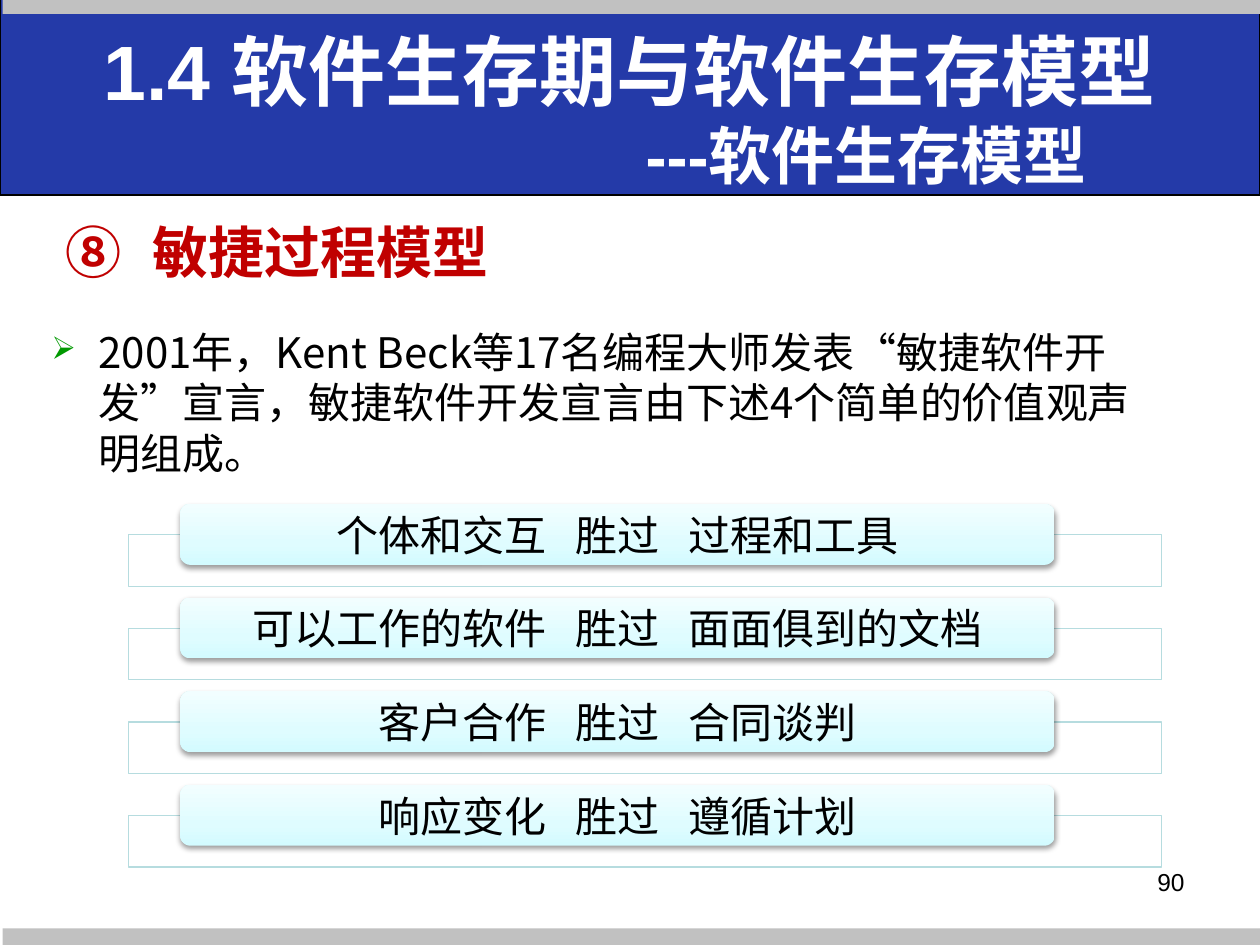
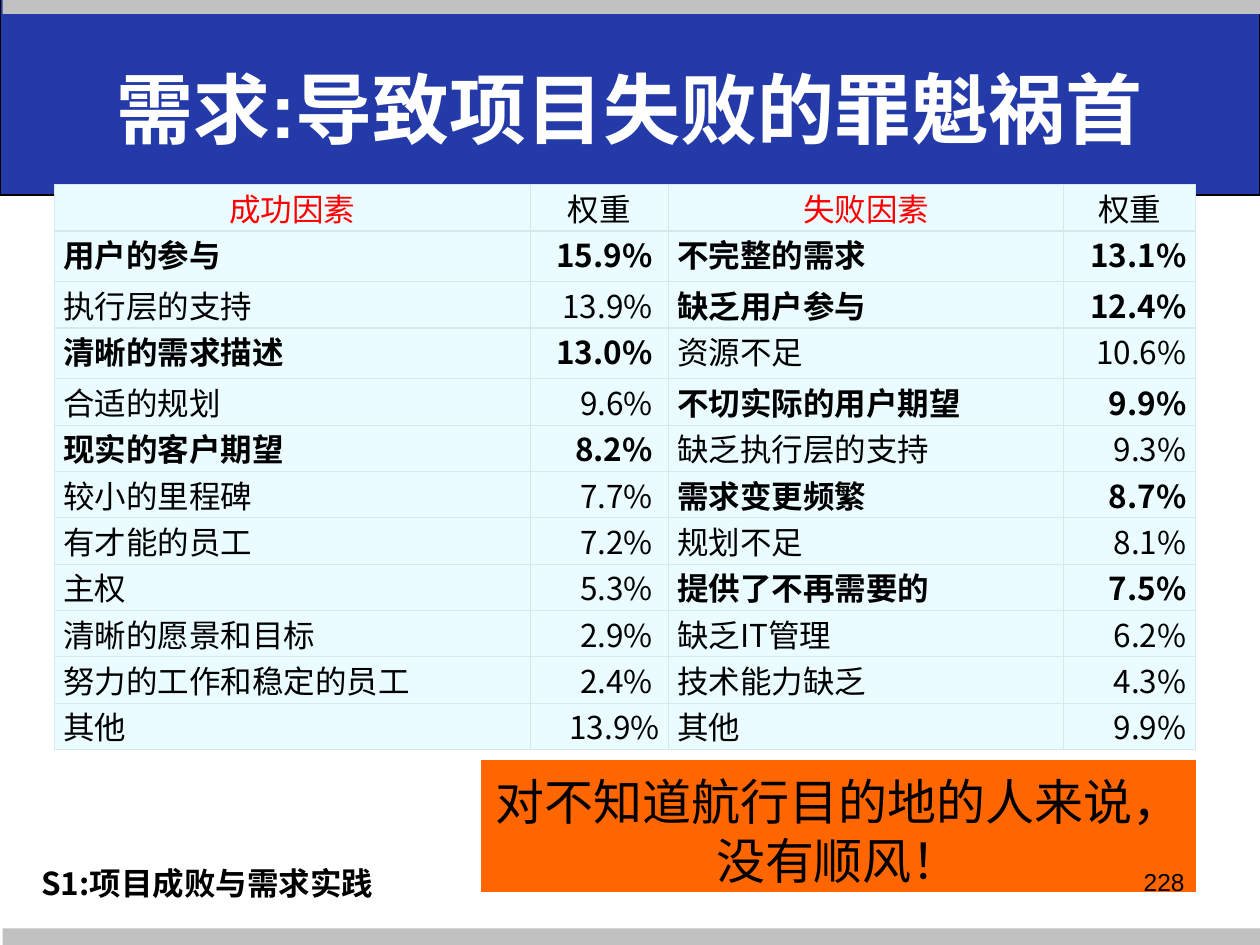
from lxml import etree
from pptx import Presentation
from pptx.util import Pt
from pptx.dml.color import RGBColor
from pptx.enum.shapes import MSO_SHAPE as Shape
from pptx.enum.text import PP_ALIGN as Align, MSO_ANCHOR as Anchor
from pptx.oxml import parse_xml
from pptx.oxml.ns import qn, nsdecls

SANS, ARIAL, TIMES = "Noto Sans CJK SC", "Arial", "Times New Roman"
BLUE, GREY, BLACK, WHITE = "243AA8", "C1C1C1", "000000", "FFFFFF"
RED, ORANGE, ICE, EDGE, TEAL = "FF0000", "FF6600", "EAFCFF", "D5E8EA", "B6DCDF"


def rgb(code):
    return RGBColor.from_string(code)


def xml(text):
    """Parse a drawing element written without its namespace."""
    tag, rest = text[1:].split(" ", 1)
    return parse_xml(f"<{tag} {nsdecls('a')} {rest}")


class Deck:
    def __init__(self):
        self.prs = Presentation()
        self.prs.slide_width, self.prs.slide_height = Pt(720), Pt(540)
        self.slide = None

    def page(self, title, number):
        """Start a slide with the shared bands and title."""
        self.slide = self.prs.slides.add_slide(self.prs.slide_layouts[6])
        self.rect(0, -1.5, 720, 113, BLUE, BLACK)
        self.rect(1.5, 530.5, 718.5, 9.5, GREY)
        self.rect(1.5, -1, 720, 9, GREY)
        frame = self.box(36, 16.5, 648, 90, Anchor.MIDDLE)
        for i, (text, size, left) in enumerate(title):
            par = self.para(frame, i == 0, Align.CENTER, left)
            self.run(par, text, size, ARIAL, WHITE, True)
        self.number = number

    def foot(self):
        """Place the page number above everything else."""
        par = self.para(self.box(516, 492, 168, 37), True, Align.RIGHT)
        self.run(par, self.number, 14, ARIAL)

    def rect(self, x, y, w, h, fill=None, line=None, kind=Shape.RECTANGLE):
        item = self.slide.shapes.add_shape(kind, Pt(x), Pt(y), Pt(w), Pt(h))
        item.shadow.inherit = False
        if fill:
            item.fill.solid()
            item.fill.fore_color.rgb = rgb(fill)
        if line:
            item.line.color.rgb = rgb(line)
            item.line.width = Pt(0.75)
        else:
            item.line.fill.background()
        return item

    def box(self, x, y, w, h, anchor=Anchor.TOP):
        item = self.slide.shapes.add_textbox(Pt(x), Pt(y), Pt(w), Pt(h))
        frame = item.text_frame
        frame.word_wrap = True
        frame.vertical_anchor = anchor
        return frame

    def para(self, frame, first=True, align=Align.LEFT, left=0, hang=0,
             marks=(), pitch=None):
        par = frame.paragraphs[0] if first else frame.add_paragraph()
        props = par._p.get_or_add_pPr()
        if left:
            props.set("marL", str(Pt(left)))
            props.set("indent", str(Pt(-hang)))
        for mark in marks:
            props.append(xml(mark))
        par.alignment = align
        if pitch:
            par.line_spacing = Pt(pitch)
        return par

    def run(self, par, text, size, font=SANS, color=BLACK, bold=False, gap=0):
        run = par.add_run()
        run.text = text
        face = run.font
        face.size, face.bold, face.name = Pt(size), bold, font
        face.color.rgb = rgb(color)
        props = run._r.get_or_add_rPr()
        props.find(qn("a:latin")).addnext(xml(f'<a:ea typeface="{SANS}"/>'))
        if gap:
            props.set("spc", str(gap * 100))

    def pill(self, x, y, w, h):
        """Rounded bar with a pale gradient and a soft shadow."""
        item = self.rect(x, y, w, h, kind=Shape.ROUNDED_RECTANGLE)
        stops = "".join(
            f'<a:gs pos="{pos}000"><a:srgbClr val="{code}"/></a:gs>'
            for pos, code in ((0, "D3FBFF"), (35, "DFFCFF"), (100, "F2FEFF")))
        props = item._element.spPr
        props.find(qn("a:prstGeom")).addnext(xml(
            f'<a:gradFill rotWithShape="1"><a:gsLst>{stops}</a:gsLst>'
            '<a:lin ang="16200000" scaled="0"/></a:gradFill>'))
        shade = etree.SubElement(props.find(qn("a:effectLst")),
                                 qn("a:outerShdw"), blurRad=str(Pt(3.1)),
                                 dist=str(Pt(1.6)), dir="5400000",
                                 rotWithShape="0")
        color = etree.SubElement(shade, qn("a:srgbClr"), val=BLACK)
        etree.SubElement(color, qn("a:alpha"), val="38000")
        frame = item.text_frame
        frame.vertical_anchor = Anchor.MIDDLE
        frame.margin_top = frame.margin_bottom = 0
        return frame

    def cell(self, cell, text, align, color, bold, pad):
        cell.fill.solid()
        cell.fill.fore_color.rgb = rgb(ICE)
        cell.margin_left, cell.margin_right = Pt(5), Pt(5 + pad)
        cell.margin_top = cell.margin_bottom = 0
        props = cell._tc.get_or_add_tcPr()
        for i, side in enumerate(("lnL", "lnR", "lnT", "lnB")):
            props.insert(i, xml(
                f'<a:{side} w="{Pt(0.75)}"><a:solidFill>'
                f'<a:srgbClr val="{EDGE}"/></a:solidFill></a:{side}>'))
        par = self.para(cell.text_frame, align=align)
        self.run(par, text, 18, SANS, color, bold)

    def grid(self, x, y, cols, rows, head, data):
        """Factor table; each entry is name, weight and whether it is bold."""
        table = self.slide.shapes.add_table(
            len(rows), len(cols), Pt(x), Pt(y),
            Pt(sum(cols)), Pt(sum(rows))).table
        for col, width in zip(table.columns, cols):
            col.width = Pt(width)
        for row, height in zip(table.rows, rows):
            row.height = Pt(height)
        for c, text in enumerate(head):
            self.cell(table.cell(0, c), text, Align.CENTER,
                      BLACK if c % 2 else RED, False, 0)
        for r, pair in enumerate(data, 1):
            for side, (name, weight, bold) in enumerate(pair):
                pad = 4 if side == 0 and r < len(data) else 0
                self.cell(table.cell(r, 2 * side), name, Align.LEFT,
                          BLACK, bold, 0)
                self.cell(table.cell(r, 2 * side + 1), weight, Align.RIGHT,
                          BLACK, bold, pad)


VALUES = [
    ("个体和交互", "过程和工具"),
    ("可以工作的软件", "面面俱到的文档"),
    ("客户合作", "合同谈判"),
    ("响应变化", "遵循计划"),
]

FACTORS = [
    (("用户的参与", "15.9%", True), ("不完整的需求", "13.1%", True)),
    (("执行层的支持", "13.9%", False), ("缺乏用户参与", "12.4%", True)),
    (("清晰的需求描述", "13.0%", True), ("资源不足", "10.6%", False)),
    (("合适的规划", "9.6%", False), ("不切实际的用户期望", "9.9%", True)),
    (("现实的客户期望", "8.2%", True), ("缺乏执行层的支持", "9.3%", False)),
    (("较小的里程碑", "7.7%", False), ("需求变更频繁", "8.7%", True)),
    (("有才能的员工", "7.2%", False), ("规划不足", "8.1%", False)),
    (("主权", "5.3%", False), ("提供了不再需要的", "7.5%", True)),
    (("清晰的愿景和目标", "2.9%", False), ("缺乏IT管理", "6.2%", False)),
    (("努力的工作和稳定的员工", "2.4%", False), ("技术能力缺乏", "4.3%", False)),
    (("其他", "13.9%", False), ("其他", "9.9%", False)),
]


def agile(deck):
    deck.page([("1.4 软件生存期与软件生存模型", 44, 0),
               ("---软件生存模型", 36, 270)], "90")

    # Manifesto text
    frame = deck.box(22.3, 183, 648, 100)
    par = deck.para(frame, left=27, hang=27, pitch=28.8, marks=(
        '<a:buClr ><a:srgbClr val="009900"/></a:buClr>',
        '<a:buSzPct val="75000"/>', '<a:buChar char="➢"/>'))
    for text, font in (("2001年，Kent Beck等17名编程大师发表", SANS),
                       ("“", ARIAL), ("敏捷软件开发", SANS), ("”", ARIAL),
                       ("宣言，敏捷软件开发宣言由下述4个简单的价值观声明组成。", SANS)):
        deck.run(par, text, 24, font)

    # Numbered heading
    frame = deck.box(16.5, 112.5, 371.5, 62, Anchor.MIDDLE)
    par = deck.para(frame, left=63.4, hang=49.7, marks=(
        '<a:buAutoNum type="circleNumDbPlain" startAt="8"/>',))
    deck.run(par, "敏捷过程模型", 32, ARIAL, "C00000", True)

    # Four value statements
    for i, (more, less) in enumerate(VALUES):
        top = 288 + 53.5 * i
        deck.rect(73.4, top + 17.5, 590.4, 29.5, WHITE, TEAL)
        par = deck.para(deck.pill(103, top, 499.7, 34.8), align=Align.CENTER)
        for text, gap in ((more, 0), (" ", 11), ("胜过", 0), (" ", 11),
                          (less, 0)):
            deck.run(par, text, 24, gap=gap)
    deck.foot()


def needs(deck):
    deck.page([("需求:导致项目失败的罪魁祸首", 44, 0)], "228")

    # Orange message
    frame = deck.rect(275, 434.5, 408.3, 75, ORANGE, ORANGE).text_frame
    frame.word_wrap = True
    frame.vertical_anchor = Anchor.TOP
    frame.margin_top = Pt(6.5)
    par = deck.para(frame, align=Align.CENTER, pitch=33.6)
    deck.run(par, "对不知道航行目的地的人来说，没有顺风！", 28, TIMES)

    # Success and failure factors
    rows = [29 if r in (1, 3) else 26.5 for r in range(12)]
    deck.grid(31, 105.5, (272, 79, 226, 75), rows,
              ("成功因素", "权重", "失败因素", "权重"), FACTORS)

    # Section label
    par = deck.para(deck.box(16.5, 490.5, 206.5, 45), pitch=21.2)
    deck.run(par, "S1:项目成败与需求实践", 18, bold=True)
    deck.foot()


def main():
    deck = Deck()
    agile(deck)
    needs(deck)
    deck.prs.save("out.pptx")


if __name__ == "__main__":
    main()
